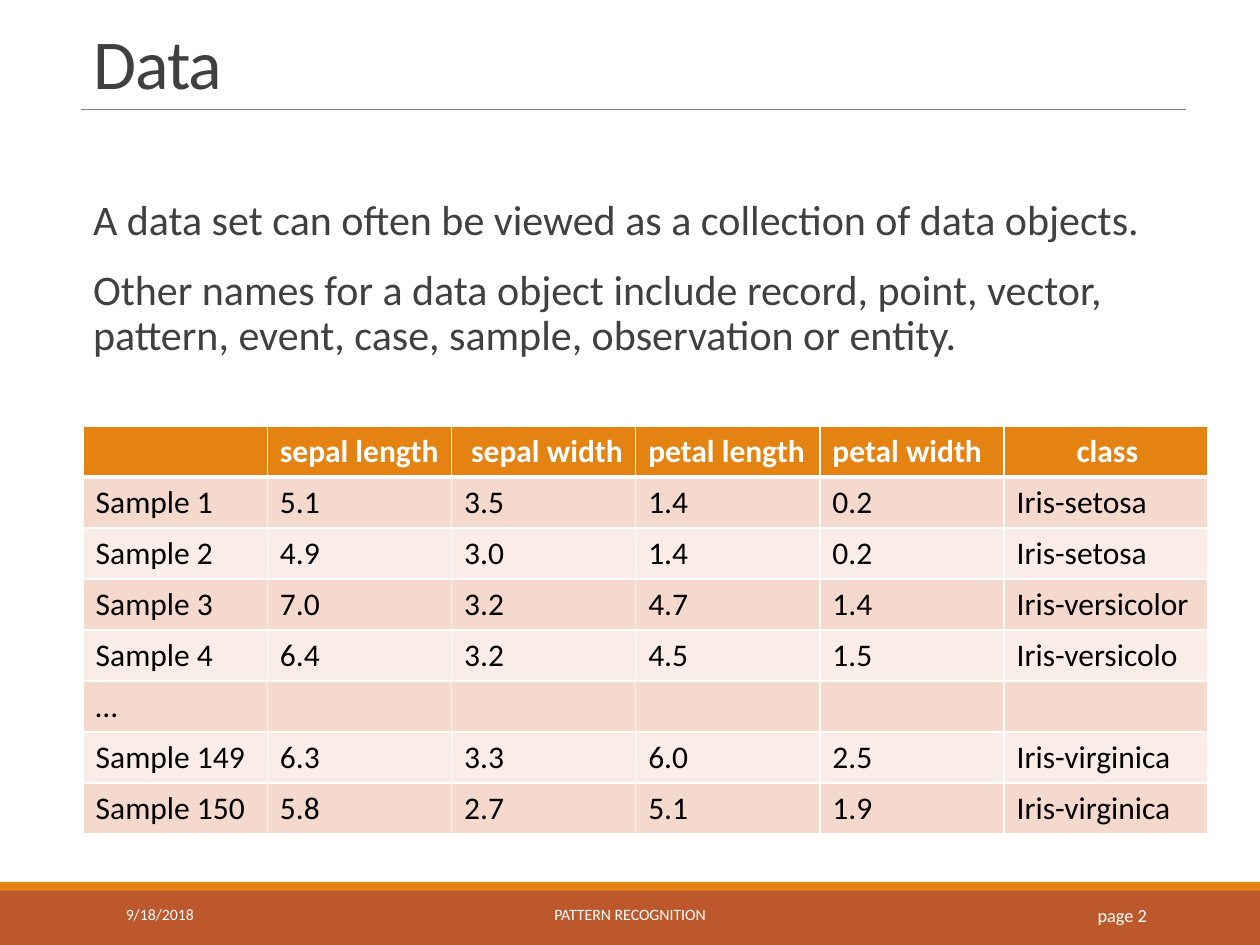
"""Build a slide that introduces data sets with a table of iris samples."""
from lxml.etree import SubElement
from pptx import Presentation
from pptx.dml.color import RGBColor
from pptx.enum.shapes import MSO_CONNECTOR, MSO_SHAPE
from pptx.enum.text import MSO_ANCHOR, PP_ALIGN
from pptx.oxml.ns import qn
from pptx.util import Inches, Pt

FONT = "Calibri"
WHITE = RGBColor(0xFF, 0xFF, 0xFF)
BLACK = RGBColor(0x00, 0x00, 0x00)
DARK_GRAY = RGBColor(0x40, 0x40, 0x40)
RULE_GRAY = RGBColor(0x80, 0x80, 0x80)
ORANGE = RGBColor(0xE4, 0x83, 0x12)
RUST = RGBColor(0xBD, 0x58, 0x2C)
BAND_COLORS = (RGBColor(0xF5, 0xD9, 0xCC), RGBColor(0xFA, 0xED, 0xE7))

TITLE = "Data"
BODY = [
    "A data set can often be viewed as a collection of data objects.",
    "Other names for a data object include record, point, vector, "
    "pattern, event, case, sample, observation or entity.",
]
TABLE_ROWS = [
    ("", "sepal length", " sepal width", "petal length", "petal width", "class"),
    ("Sample 1", "5.1", "3.5", "1.4", "0.2", "Iris-setosa"),
    ("Sample 2", "4.9", "3.0", "1.4", "0.2", "Iris-setosa"),
    ("Sample 3", "7.0", "3.2", "4.7", "1.4", "Iris-versicolor"),
    ("Sample 4", "6.4", "3.2", "4.5", "1.5", "Iris-versicolo"),
    ("…", "", "", "", "", ""),
    ("Sample 149", "6.3", "3.3", "6.0", "2.5", "Iris-virginica"),
    ("Sample 150", "5.8", "2.7", "5.1", "1.9", "Iris-virginica"),
]
TABLE_LEFT, TABLE_TOP, TABLE_WIDTH, TABLE_HEIGHT = 0.66, 3.38, 8.93, 3.24
CLASS_WIDTH = 1.62
BARS = [(7.06, 0.44, RUST), (7, 0.07, ORANGE)]
FOOTERS = [
    ("9/18/2018", 0.9, 2.03, 9, PP_ALIGN.LEFT),
    ("PATTERN RECOGNITION", 3.02, 3.96, 9, PP_ALIGN.CENTER),
    ("page 2", 8.12, 1.08, 10.5, PP_ALIGN.RIGHT),
]


def add_run(paragraph, text, size, color, bold=False):
    run = paragraph.add_run()
    run.text = text
    run.font.name = FONT
    run.font.size = Pt(size)
    run.font.bold = bold
    run.font.color.rgb = color
    return run


def add_text_frame(slide, left, top, width, height, anchor):
    box = slide.shapes.add_textbox(*map(Inches, (left, top, width, height)))
    text_frame = box.text_frame
    text_frame.word_wrap = True
    text_frame.vertical_anchor = anchor
    return text_frame


def add_bars(slide):
    for top, height, color in BARS:
        bar = slide.shapes.add_shape(
            MSO_SHAPE.RECTANGLE, 0, Inches(top), Inches(10), Inches(height))
        bar.shadow.inherit = False
        bar.fill.solid()
        bar.fill.fore_color.rgb = color
        bar.line.fill.background()


def add_title(slide):
    rule = slide.shapes.add_connector(
        MSO_CONNECTOR.STRAIGHT, *map(Inches, (0.64, 0.87, 9.41, 0.87)))
    rule.line.color.rgb = RULE_GRAY
    rule.line.width = Pt(0.5)
    SubElement(rule.element.spPr, qn("a:effectLst"))
    text_frame = add_text_frame(slide, 0.64, 0.13, 8.77, 0.74, MSO_ANCHOR.BOTTOM)
    paragraph = text_frame.paragraphs[0]
    paragraph.line_spacing = 0.85
    run = add_run(paragraph, TITLE, 40, DARK_GRAY)
    run._r.get_or_add_rPr().set("spc", "-50")


def add_body(slide):
    text_frame = add_text_frame(slide, 0.64, 0.94, 8.77, 5.95, MSO_ANCHOR.TOP)
    text_frame.margin_left = Inches(0.1)
    text_frame.margin_right = 0
    text_frame.margin_top = Inches(0.64)
    for index, text in enumerate(BODY):
        paragraph = text_frame.add_paragraph() if index else text_frame.paragraphs[0]
        paragraph.line_spacing = 0.9
        paragraph.space_before = Pt(12) if index else Pt(0)
        paragraph.space_after = Pt(2)
        add_run(paragraph, text, 24, DARK_GRAY)


def set_borders(cell, widths):
    properties = cell._tc.get_or_add_tcPr()
    for position, (side, width) in enumerate(widths.items()):
        border = properties.makeelement(qn(f"a:{side}"), {"w": str(Pt(width))})
        fill = SubElement(border, qn("a:solidFill"))
        SubElement(fill, qn("a:srgbClr"), val=str(WHITE))
        properties.insert(position, border)


def add_samples_table(slide):
    row_count, column_count = len(TABLE_ROWS), len(TABLE_ROWS[0])
    table = slide.shapes.add_table(
        row_count, column_count, Inches(TABLE_LEFT), Inches(TABLE_TOP),
        Inches(TABLE_WIDTH), Inches(TABLE_HEIGHT)).table
    equal_width = (TABLE_WIDTH - CLASS_WIDTH) / (column_count - 1)
    for column_index, column in enumerate(table.columns):
        is_class = column_index == column_count - 1
        column.width = Inches(CLASS_WIDTH if is_class else equal_width)
    for row_index, values in enumerate(TABLE_ROWS):
        header = row_index == 0
        for column_index, text in enumerate(values):
            cell = table.cell(row_index, column_index)
            cell.margin_right = Inches(0.08)
            cell.fill.solid()
            cell.fill.fore_color.rgb = ORANGE if header else BAND_COLORS[(row_index - 1) % 2]
            set_borders(cell, {"lnL": 1, "lnR": 1, "lnT": 3 if row_index == 1 else 1,
                               "lnB": 3 if header else 1})
            paragraph = cell.text_frame.paragraphs[0]
            if text:
                add_run(paragraph, text, 18, WHITE if header else BLACK, header)
            if text == "class":
                paragraph.alignment = PP_ALIGN.CENTER
                cell.vertical_anchor = MSO_ANCHOR.MIDDLE


def add_footers(slide):
    for text, left, width, size, alignment in FOOTERS:
        text_frame = add_text_frame(slide, left, 7.06, width, 0.4, MSO_ANCHOR.MIDDLE)
        paragraph = text_frame.paragraphs[0]
        paragraph.alignment = alignment
        add_run(paragraph, text, size, WHITE)


def main():
    presentation = Presentation()
    presentation.slide_width = Inches(10)
    presentation.slide_height = Inches(7.5)
    slide = presentation.slides.add_slide(presentation.slide_layouts[6])
    add_bars(slide)
    add_title(slide)
    add_body(slide)
    add_footers(slide)
    add_samples_table(slide)
    presentation.save("out.pptx")


if __name__ == "__main__":
    main()
